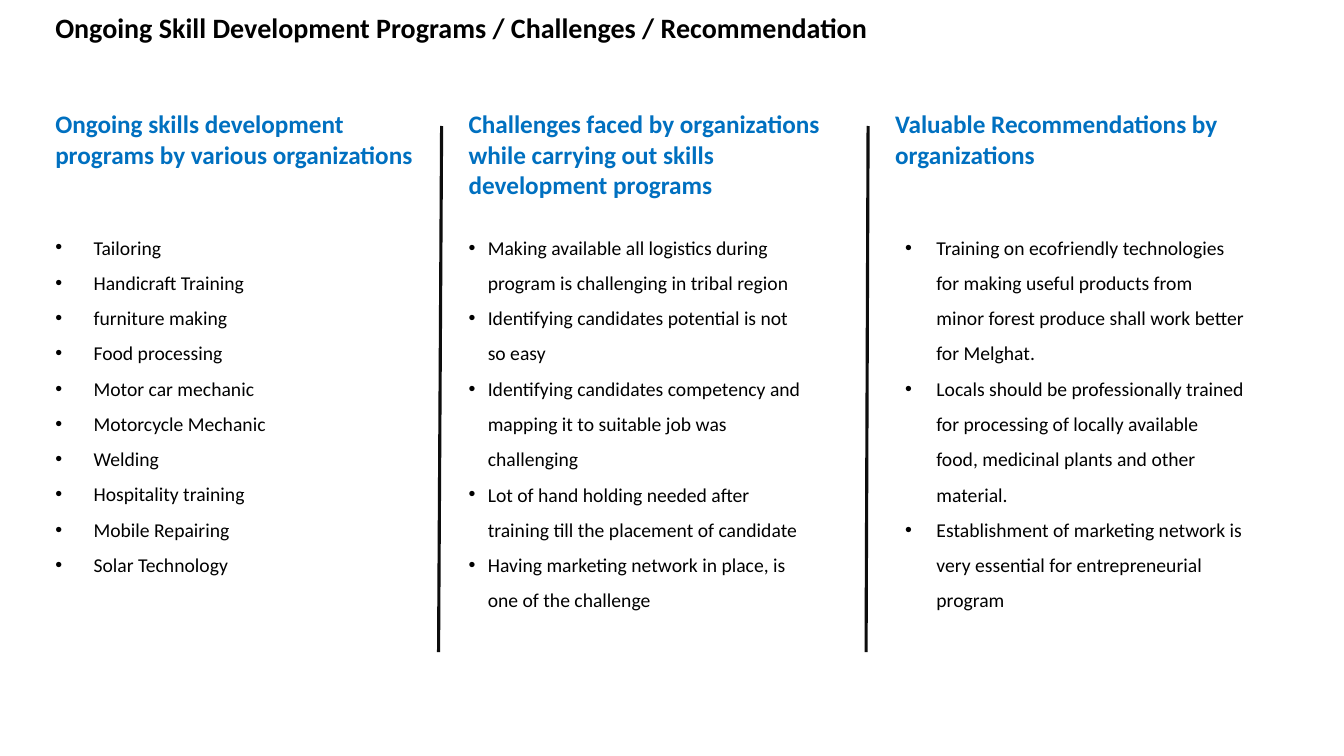
from pptx import Presentation
from pptx.dml.color import RGBColor
from pptx.enum.shapes import MSO_CONNECTOR as Connector
from pptx.enum.text import MSO_AUTO_SIZE as AutoSize, PP_ALIGN as Align
from pptx.oxml.ns import qn
from pptx.util import Inches, Pt
from lxml.etree import SubElement

BLACK, BLUE, DARK = "000000", "0070C0", "0D0D0D"


def color(code):
    return RGBColor.from_string(code)


def write(para, text, size=14, ink=BLACK, bold=False, align=None,
          spacing=None, after=None, indent=None):
    span = para.add_run()
    span.text = text
    span.font.name = "Calibri"
    span.font.size = Pt(size)
    span.font.bold = bold
    span.font.color.rgb = color(ink)
    para.alignment = align
    para.line_spacing = spacing
    para.space_after = None if after is None else Pt(after)
    if indent:
        props = para._p.get_or_add_pPr()
        props.set("marL", str(Inches(indent)))
        props.set("indent", str(-Inches(indent)))
        SubElement(props, qn("a:buFont")).set("typeface", "Arial")
        SubElement(props, qn("a:buChar")).set("char", "•")


class Builder:
    def __init__(self, page):
        self.page = page

    def text(self, left, top, width, height, lines, wrap=True, **style):
        box = self.page.shapes.add_textbox(
            Inches(left), Inches(top), Inches(width), Inches(height))
        frame = box.text_frame
        frame.word_wrap = wrap
        frame.auto_size = AutoSize.SHAPE_TO_FIT_TEXT
        for index, line in enumerate(lines):
            para = frame.add_paragraph() if index else frame.paragraphs[0]
            write(para, line, **style)
        return frame

    def heading(self, left, height, lines):
        self.text(left, 1.03, 3.76, height, lines, size=18, ink=BLUE, bold=True)

    def bullets(self, left, width, height, lines, indent, align=None):
        return self.text(left, 2.17, width, height, lines,
                         spacing=1.5, indent=indent, align=align)

    def divider(self, top_x, bottom_x):
        line = self.page.shapes.add_connector(
            Connector.STRAIGHT, Inches(top_x), Inches(1.25),
            Inches(bottom_x), Inches(6.47))
        line.line.color.rgb = color(DARK)
        line.line.width = Pt(2.25)
        SubElement(line._element.spPr, qn("a:effectLst"))


deck = Presentation()
deck.slide_width, deck.slide_height = Inches(13.33), Inches(7.5)
slide = Builder(deck.slides.add_slide(deck.slide_layouts[6]))

slide.text(0.45, 0.06, 8.33, 0.44,
           ["Ongoing Skill Development Programs / Challenges / Recommendation"],
           wrap=False, size=20, bold=True)

programs = ["Tailoring", "Handicraft Training", "furniture making",
            "Food processing", "Motor car mechanic", "Motorcycle Mechanic",
            "Welding", "Hospitality training", "Mobile Repairing",
            "Solar Technology"]
challenges = [
    "Making available all logistics during program is challenging in tribal region",
    "Identifying candidates potential is not so easy",
    "Identifying candidates competency and mapping it to suitable job was challenging",
    "Lot of hand holding needed after training till the placement of candidate",
    "Having marketing network in place, is one of the challenge",
]
recommendations = [
    "Training on ecofriendly technologies for making useful products from "
    "minor forest produce shall work better for Melghat.",
    "Locals should be professionally trained for processing of locally "
    "available food, medicinal plants and other material.",
    "Establishment of marketing network is very essential for "
    "entrepreneurial program",
]

slide.heading(0.45, 0.71, ["Ongoing skills development ",
                           "programs by various organizations"])
slide.heading(4.55, 1.01, ["Challenges faced by organizations while carrying "
                           "out skills development programs "])
slide.heading(8.78, 0.71, ["Valuable Recommendations by organizations"])

program_list = slide.bullets(0.45, 3.76, 3.64, programs, 0.38, Align.JUSTIFY)
program_list.paragraphs[-1].space_after = Pt(10)
slide.bullets(4.55, 3.56, 3.99, challenges, 0.19)
slide.bullets(8.88, 3.56, 3.95, recommendations, 0.31)

for top_x, bottom_x in ((4.38, 4.35), (8.61, 8.59)):
    slide.divider(top_x, bottom_x)

deck.save("out.pptx")
